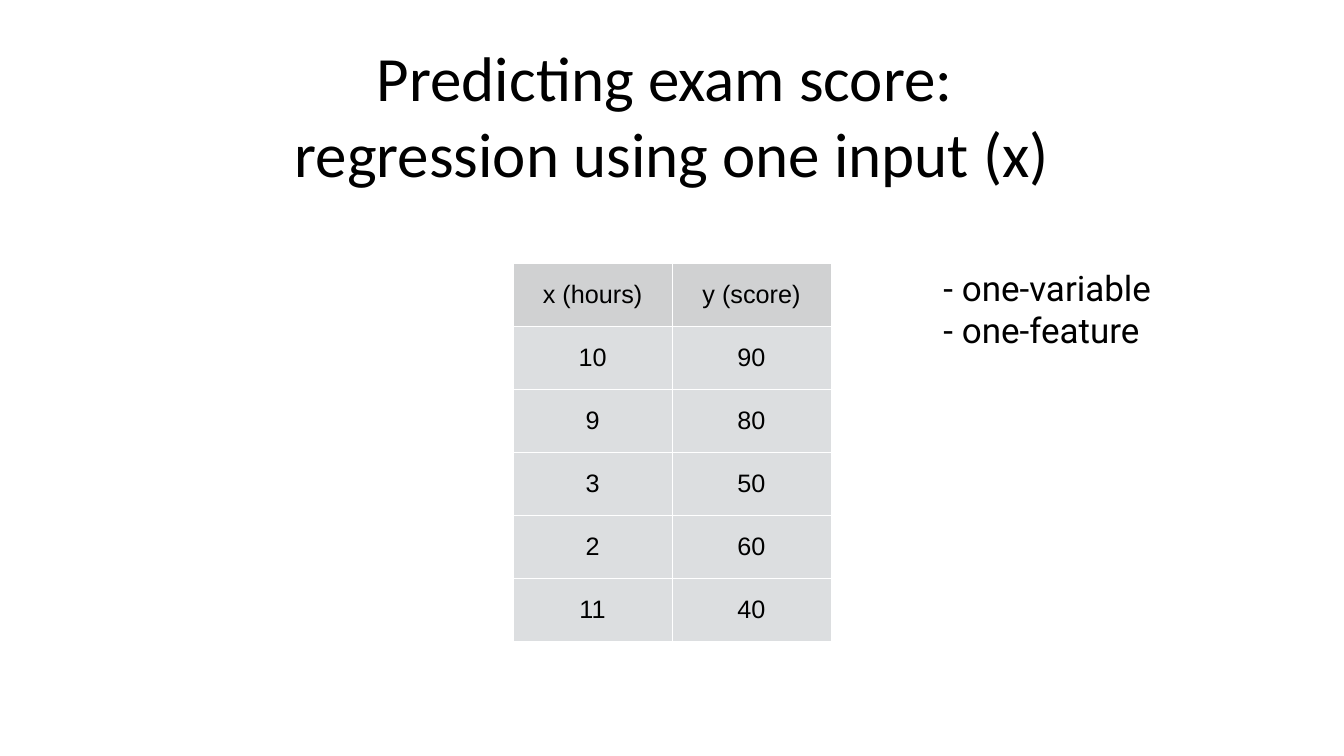
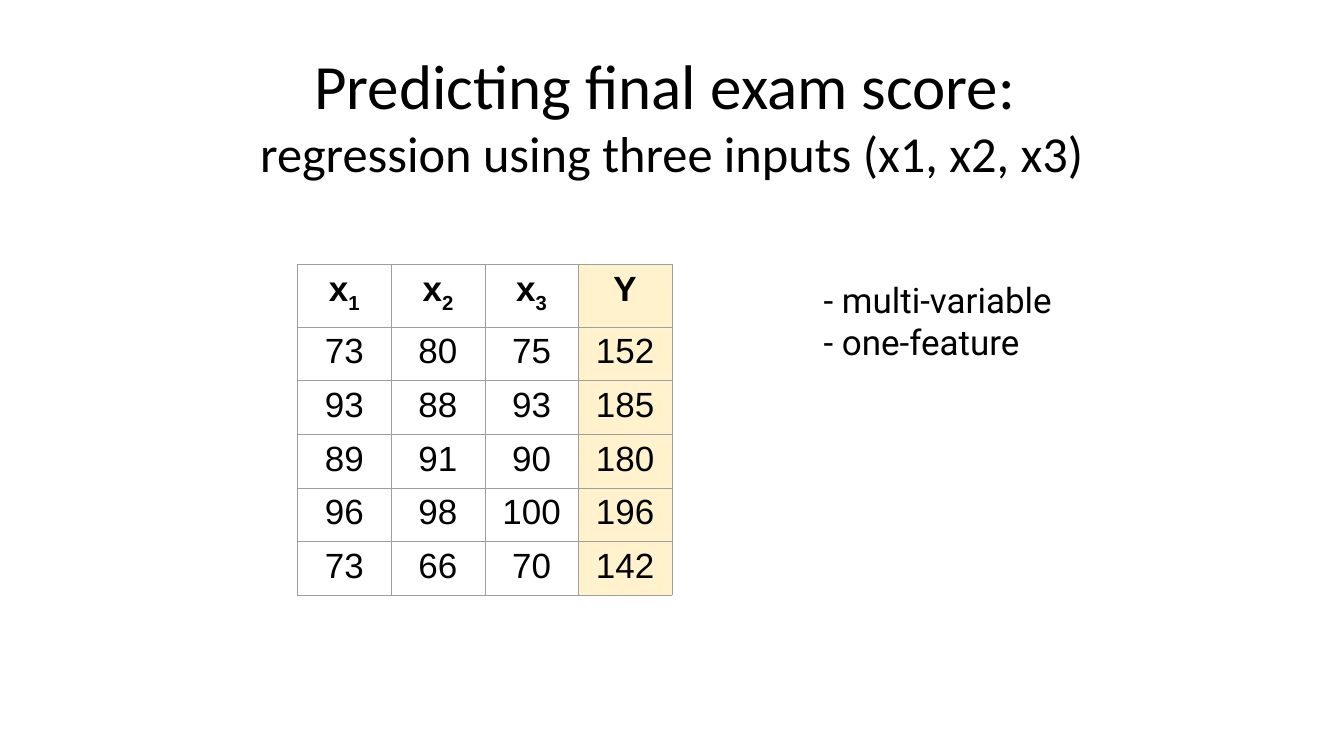
"""Build two slides on regression with one input and with three inputs."""
from lxml.etree import SubElement as add_element
from pptx import Presentation
from pptx.dml.color import RGBColor
from pptx.enum.text import MSO_ANCHOR as Anchor, MSO_AUTO_SIZE as AutoSize, PP_ALIGN as Align
from pptx.oxml.ns import qn
from pptx.util import Pt

COLOURS = {
    "text": "000000", "white": "FFFFFF", "head": "D0D1D2",
    "body": "DCDEE0", "target": "FFF2CC", "grid": "9E9E9E",
}
TITLE_AREA = (-1.4, 28, 1923, 270)
SLIDES = [
    {
        "title": [("Predicting exam score: ", 90), ("regression using one input (x)", 90)],
        "notes": ["- one-variable", "- one-feature"],
        "notes_area": (1342, 362, 533, 158.4),
        "rows": [["x (hours)", "y (score)"], [10, 90], [9, 80], [3, 50], [2, 60], [11, 40]],
        "table": {
            "corner": (733, 376.6), "column": 227, "head": 90, "row": 90,
            "size": 36, "bold_head": False, "margin": 4.3, "anchor": Anchor.MIDDLE,
            "border": ("white", 1), "head_fill": "head", "body_fill": "body",
            "last_fill": None,
        },
    },
    {
        "title": [("Predicting final exam score: ", 90),
                  ("regression using three inputs (x1, x2, x3)", 72)],
        "notes": ["- multi-variable", "- one-feature"],
        "notes_area": (1170.7, 422, 648, 71.3),
        "rows": [["x_1", "x_2", "x_3", "Y"], [73, 80, 75, 152], [93, 88, 93, 185],
                 [89, 91, 90, 180], [96, 98, 100, 196], [73, 66, 70, 142]],
        "table": {
            "corner": (425, 378), "column": 133.75, "head": 89.3, "row": 76.6,
            "size": 50, "bold_head": True, "margin": 7.2, "anchor": Anchor.TOP,
            "border": ("grid", 0.75), "head_fill": "white", "body_fill": "white",
            "last_fill": "target",
        },
    },
]


def colour(name):
    return RGBColor.from_string(COLOURS[name])


def style(span, font, size, bold=False):
    span.font.name = font
    span.font.size = Pt(size)
    span.font.bold = bold
    span.font.color.rgb = colour("text")


def set_margins(box, margin):
    box.margin_left = box.margin_right = Pt(margin)
    box.margin_top = box.margin_bottom = Pt(margin)


def fill_text(box, lines, font, align):
    frame = box.text_frame
    frame.text = "\n".join(text for text, size in lines)
    frame.word_wrap = True
    frame.auto_size = AutoSize.NONE
    frame.vertical_anchor = Anchor.MIDDLE
    set_margins(frame, 5.8)
    for para, (text, size) in zip(frame.paragraphs, lines):
        para.alignment = align
        style(para.runs[0], font, size)


def add_borders(cell, name, width):
    properties = cell._tc.get_or_add_tcPr()
    for side in ("lnL", "lnR", "lnT", "lnB"):
        line = add_element(properties, qn(f"a:{side}"), w=str(Pt(width)))
        fill = add_element(line, qn("a:solidFill"))
        add_element(fill, qn("a:srgbClr"), val=COLOURS[name])


def fill_cell(cell, value, look, is_head, is_last):
    cell.vertical_anchor = look["anchor"]
    set_margins(cell, look["margin"])
    add_borders(cell, *look["border"])
    fill = look["head_fill"] if is_head else look["body_fill"]
    if is_last and look["last_fill"]:
        fill = look["last_fill"]
    cell.fill.solid()
    cell.fill.fore_color.rgb = colour(fill)
    para = cell.text_frame.paragraphs[0]
    para.alignment = Align.CENTER
    for index, piece in enumerate(str(value).split("_")):
        span = para.add_run()
        span.text = piece
        style(span, "Arial", look["size"], is_head and look["bold_head"])
        if index:
            span.font._element.set("baseline", "-25000")


def add_score_table(page, rows, look):
    heights = [look["head"]] + [look["row"]] * (len(rows) - 1)
    width = look["column"] * len(rows[0])
    area = map(Pt, (*look["corner"], width, sum(heights)))
    table = page.shapes.add_table(len(rows), len(rows[0]), *area).table
    table.first_row = table.horz_banding = False
    for column in table.columns:
        column.width = Pt(look["column"])
    for r, (values, height) in enumerate(zip(rows, heights)):
        table.rows[r].height = Pt(height)
        for c, value in enumerate(values):
            fill_cell(table.cell(r, c), value, look, r == 0, c == len(values) - 1)


def add_page(deck, content):
    page = deck.slides.add_slide(deck.slide_layouts[5])
    title = page.shapes.title
    title.left, title.top, title.width, title.height = map(Pt, TITLE_AREA)
    fill_text(title, content["title"], "Calibri", Align.CENTER)
    add_score_table(page, content["rows"], content["table"])
    notes = page.shapes.add_textbox(*map(Pt, content["notes_area"]))
    fill_text(notes, [(note, 50) for note in content["notes"]], "Roboto", Align.LEFT)


def main():
    deck = Presentation()
    deck.slide_width, deck.slide_height = Pt(1920), Pt(1080)
    for content in SLIDES:
        add_page(deck, content)
    deck.save("out.pptx")


if __name__ == "__main__":
    main()
